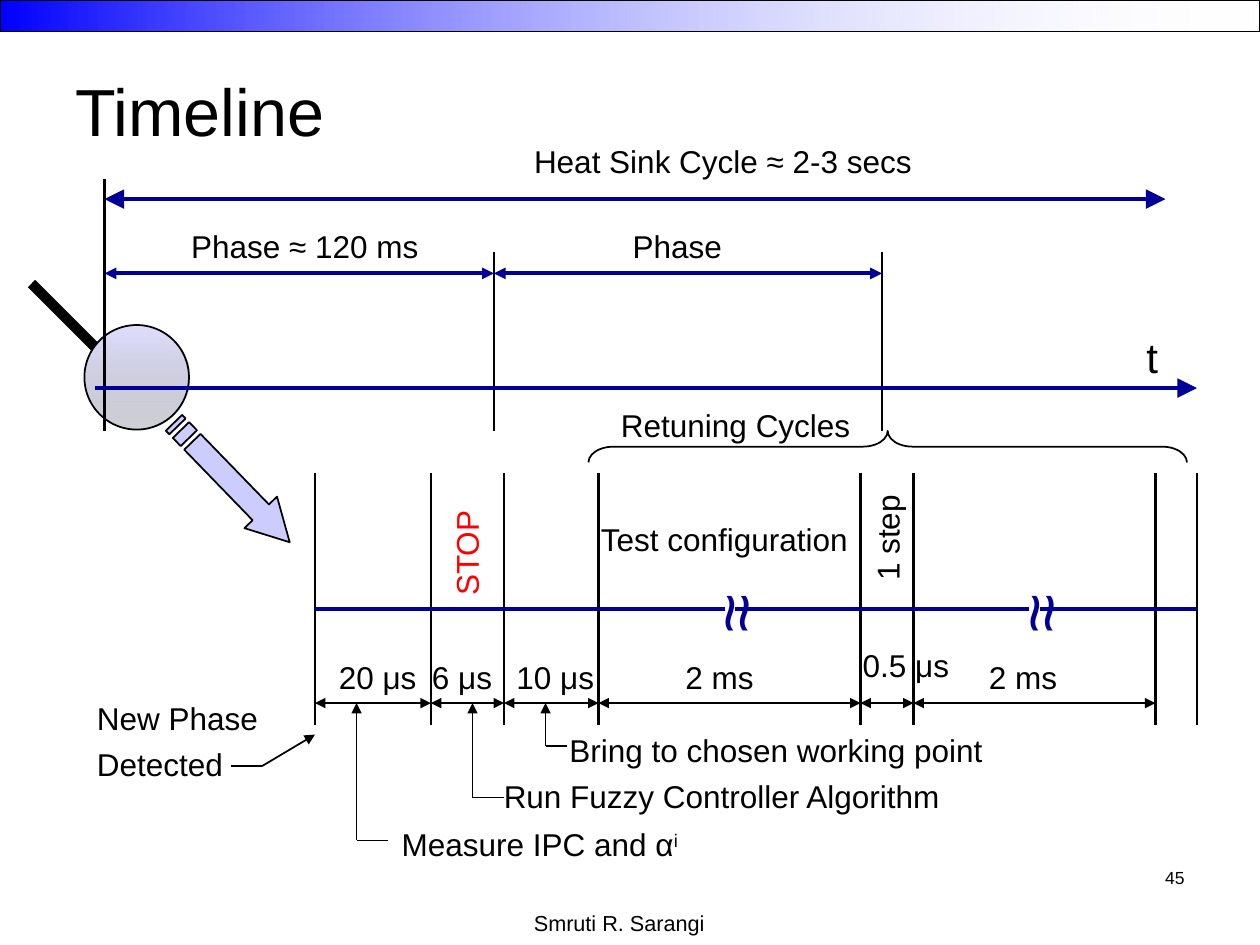
from lxml import etree
from pptx import Presentation
from pptx import util as u
from pptx.dml.color import RGBColor
from pptx.enum import shapes, text
from pptx.oxml import ns

COLORS = {
    "black": "000000",
    "white": "FFFFFF",
    "blue": "0000FF",
    "navy": "000099",
    "lilac": "CCCCFF",
    "slate": "5E5E76",
    "red": "FF0000",
}
LEFT, CENTER, RIGHT = text.PP_ALIGN.LEFT, text.PP_ALIGN.CENTER, text.PP_ALIGN.RIGHT


def color(name):
    return RGBColor.from_string(COLORS[name])


class TimelineSlide:
    font = "Arial"
    size = 18
    space_before = 4.5

    def __init__(self, presentation):
        self.slide = presentation.slides.add_slide(presentation.slide_layouts[5])

    def add_run(self, paragraph, words, size, ink):
        run = paragraph.add_run()
        run.text = words
        run.font.name = self.font
        run.font.size = u.Pt(size)
        run.font.color.rgb = color(ink)
        return run

    def title(self, words, box, size):
        shape = self.slide.shapes.title
        shape.left, shape.top, shape.width, shape.height = map(u.Inches, box)
        shape.text_frame.vertical_anchor = text.MSO_ANCHOR.MIDDLE
        paragraph = shape.text_frame.paragraphs[0]
        paragraph.alignment = LEFT
        self.add_run(paragraph, words, size, "black")

    def label(self, words, box, align=LEFT, size=None, ink="black",
              wrap=False, grow=True, rotation=0, upright=True, superscript=None):
        shape = self.slide.shapes.add_textbox(*map(u.Inches, box))
        shape.rotation = rotation
        frame = shape.text_frame
        frame.word_wrap = wrap
        frame.auto_size = (text.MSO_AUTO_SIZE.SHAPE_TO_FIT_TEXT if grow
                           else text.MSO_AUTO_SIZE.NONE)
        if not upright:
            frame.margin_left = frame.margin_right = u.Inches(0.05)
            frame.margin_top = frame.margin_bottom = u.Inches(0.1)
            frame._txBody.bodyPr.set("vert", "eaVert")
        for index, line in enumerate(words.split("\n")):
            paragraph = frame.add_paragraph() if index else frame.paragraphs[0]
            if index:
                paragraph.space_before = u.Pt(self.space_before)
            paragraph.alignment = align
            self.add_run(paragraph, line, size or self.size, ink)
        if superscript:
            run = self.add_run(paragraph, superscript, size or self.size, ink)
            run.font._element.set("baseline", "30000")

    def line(self, start, end, ink="black", width=1.0, head=False, tail=False, tip="med"):
        connector = self.slide.shapes.add_connector(
            shapes.MSO_CONNECTOR.STRAIGHT, *map(u.Inches, (*start, *end)))
        connector.line.color.rgb = color(ink)
        connector.line.width = u.Pt(width)
        outline = connector.line._get_or_add_ln()
        for tag, shown in (("a:headEnd", head), ("a:tailEnd", tail)):
            if shown:
                etree.SubElement(outline, ns.qn(tag), type="triangle", w=tip, len=tip)
        etree.SubElement(connector._element.spPr, ns.qn("a:effectLst"))

    def marker(self, x, top, bottom):
        self.line((x, top), (x, bottom), width=1.5)

    def span(self, start, end, y, ink="black", width=1.0, tip="med"):
        self.line((start, y), (end, y), ink, width, head=True, tail=True, tip=tip)

    def callout(self, x, label_x, y, tip_y):
        self.line((label_x, y), (x, y))
        self.line((x, y), (x, tip_y), tail=True)

    def finish(self, shape, fill=None, rotation=0):
        shape.shadow.inherit = False
        shape.rotation = rotation
        shape.line.color.rgb = color("black")
        shape.line.width = u.Pt(1)
        if fill:
            shape.fill.solid()
            shape.fill.fore_color.rgb = color(fill)
        else:
            shape.fill.background()
        return shape

    def preset(self, kind, box, rotation=0):
        shape = self.slide.shapes.add_shape(kind, *map(u.Inches, box))
        return self.finish(shape, rotation=rotation)

    def gradient(self, kind, box, angle, stops):
        fill = self.preset(kind, box).fill
        fill.gradient()
        fill.gradient_angle = angle
        for stop, (ink, opacity) in zip(fill.gradient_stops, stops):
            stop.color.rgb = color(ink)
            if opacity < 100:
                tone = stop._gs.find(ns.qn("a:srgbClr"))
                etree.SubElement(tone, ns.qn("a:alpha"), val=str(opacity * 1000))

    def outline(self, contours, origin, fill, rotation):
        contours = [[(u.Inches(x), u.Inches(y)) for x, y in contour] for contour in contours]
        builder = self.slide.shapes.build_freeform(*contours[0][0])
        for index, contour in enumerate(contours):
            if index:
                builder.move_to(*contour[0])
            builder.add_line_segments(contour[1:], close=True)
        self.finish(builder.convert_to_shape(*map(u.Inches, origin)), fill, rotation)


def block(left, right, top, bottom):
    return [(left, top), (right, top), (right, bottom), (left, bottom)]


def draw_overview(page):
    page.label("t", (9, 2.58, 0.29, 0.5), CENTER, size=24)
    phases = (0.83, 3.92, 7)
    for x in phases[1:]:
        page.marker(x, 2, 3.42)
    for start, end in zip(phases, phases[1:]):
        page.span(start, end, 2.17, "navy", 2.25)
    page.label("Phase ≈ 120 ms", (1.39, 1.75, 2.06, 0.4), CENTER)
    page.label("Phase", (4.92, 1.75, 0.91, 0.4), CENTER)
    page.span(phases[0], 9.25, 1.58, "navy", 2.25, tip="lg")
    page.label("Heat Sink Cycle ≈ 2-3 secs", (4.14, 1.08, 3.26, 0.4))

    page.gradient(shapes.MSO_SHAPE.OVAL, (0.67, 2.58, 0.83, 0.83), 270,
                  (("lilac", 62), ("slate", 29)))
    page.line((0.75, 2.75), (0.25, 2.25), width=6)
    page.marker(phases[0], 1.42, 3.42)
    page.line((0.75, 3.08), (9.5, 3.08), "navy", 2.25, tail=True, tip="lg")
    arrow = [(0.21, 0.09), (0.99, 0.09), (0.99, 0), (1.32, 0.18),
             (0.99, 0.36), (0.99, 0.27), (0.21, 0.27)]
    stripes = [block(left, right, 0.09, 0.27) for left, right in ((0, 0.04), (0.08, 0.17))]
    page.outline([arrow, *stripes], (1.18, 3.65), "lilac", 45.9)


def draw_detail(page):
    axis, dimension = 4.83, 5.58
    steps = (2.5, 3.42, 4, 4.75, 6.83, 7.25, 9.17)
    for x in (*steps, 9.5):
        page.marker(x, 3.75, 5.75)
    for start, end in zip(steps, steps[1:]):
        page.span(start, end, dimension)
    for piece in ((2.5, 3.42, 4, 4.75, 5.75), (5.83, 6.83, 7.17, 8.17), (8.25, 9.17, 9.5)):
        for start, end in zip(piece, piece[1:]):
            page.line((start, axis), (end, axis), "navy", 2.25)
    for left in (5.42, 7.84):
        page.label("≈", (left, 4.62, 0.86, 0.61), CENTER, size=40, ink="navy", upright=False)

    page.label("20 μs", (2.59, 5.17, 0.92, 0.4))
    page.label("6 μs", (3.33, 5.17, 0.68, 0.4), wrap=True)
    page.label("10 μs", (4, 5.17, 0.92, 0.4), wrap=True)
    page.label("0.5 μs", (6.69, 5.08, 1, 0.4), CENTER)
    for left in (5.34, 7.75):
        page.label("2 ms", (left, 5.17, 0.74, 0.4), CENTER)
    page.label("STOP", (3.5, 4.05, 0.5, 0.78), CENTER, ink="red", rotation=180, upright=False)
    page.label("Test configuration", (4.67, 4.08, 2.18, 0.4))
    page.label("1 step", (6.6, 4.07, 0.88, 0.4), CENTER, rotation=270)

    page.label("New Phase\nDetected", (0.67, 5.5, 1.48, 0.77))
    page.line((2.08, 6.08), (2.5, 5.83), tail=True)
    page.line((2.08, 6.08), (1.83, 6.08))
    page.label("Measure IPC and α", (3.09, 6.5, 2.4, 0.4), superscript="i")
    page.label("Run Fuzzy Controller Algorithm", (3.9, 6.12, 3.67, 0.4))
    page.label("Bring to chosen working point", (4.42, 5.75, 3.48, 0.4))
    for x, label_x, y in ((2.83, 3.08, 6.67), (3.75, 4, 6.33), (4.33, 4.5, 5.92)):
        page.callout(x, label_x, y, dimension)

    brace = page.preset(shapes.MSO_SHAPE.LEFT_BRACE, (6.92, 1.17, 0.25, 4.75), 90)
    brace.adjustments[0] = 0.79
    page.label("Retuning Cycles", (4.83, 3.17, 2.02, 0.4))


def main():
    presentation = Presentation()
    presentation.slide_width = u.Inches(10)
    presentation.slide_height = u.Inches(7.5)
    page = TimelineSlide(presentation)
    page.gradient(shapes.MSO_SHAPE.RECTANGLE, (0, 0, 10, 0.25), 0,
                  (("blue", 100), ("white", 2)))
    page.label("Smruti R. Sarangi", (3.33, 7.17, 3.17, 0.33), CENTER, 12.4, wrap=True, grow=False)
    page.label("45", (7.17, 6.83, 2.33, 0.5), RIGHT, 10, wrap=True, grow=False)
    page.title("Timeline", (0.5, 0.25, 9, 1.25), 38)
    draw_overview(page)
    draw_detail(page)
    presentation.save("out.pptx")


if __name__ == "__main__":
    main()
